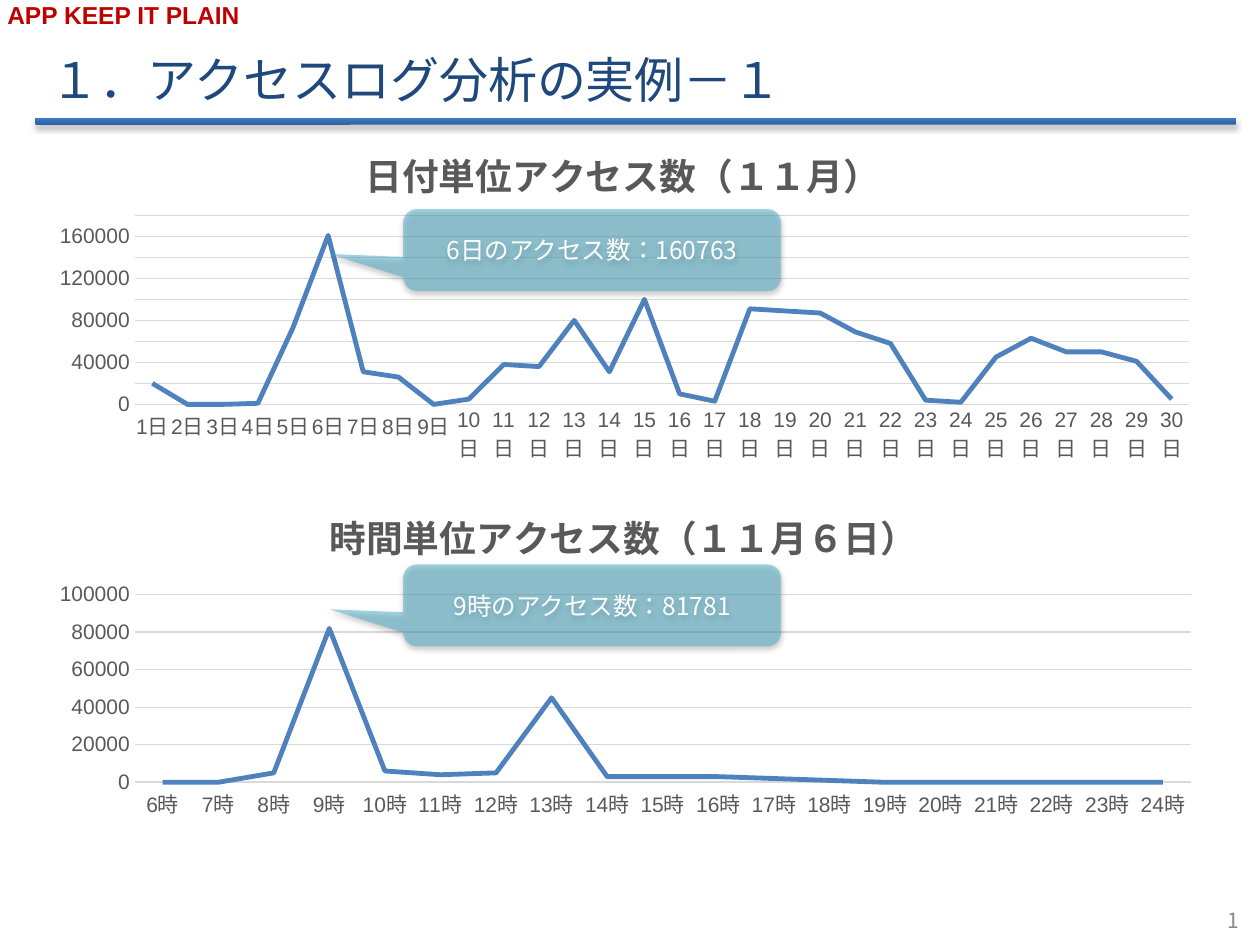
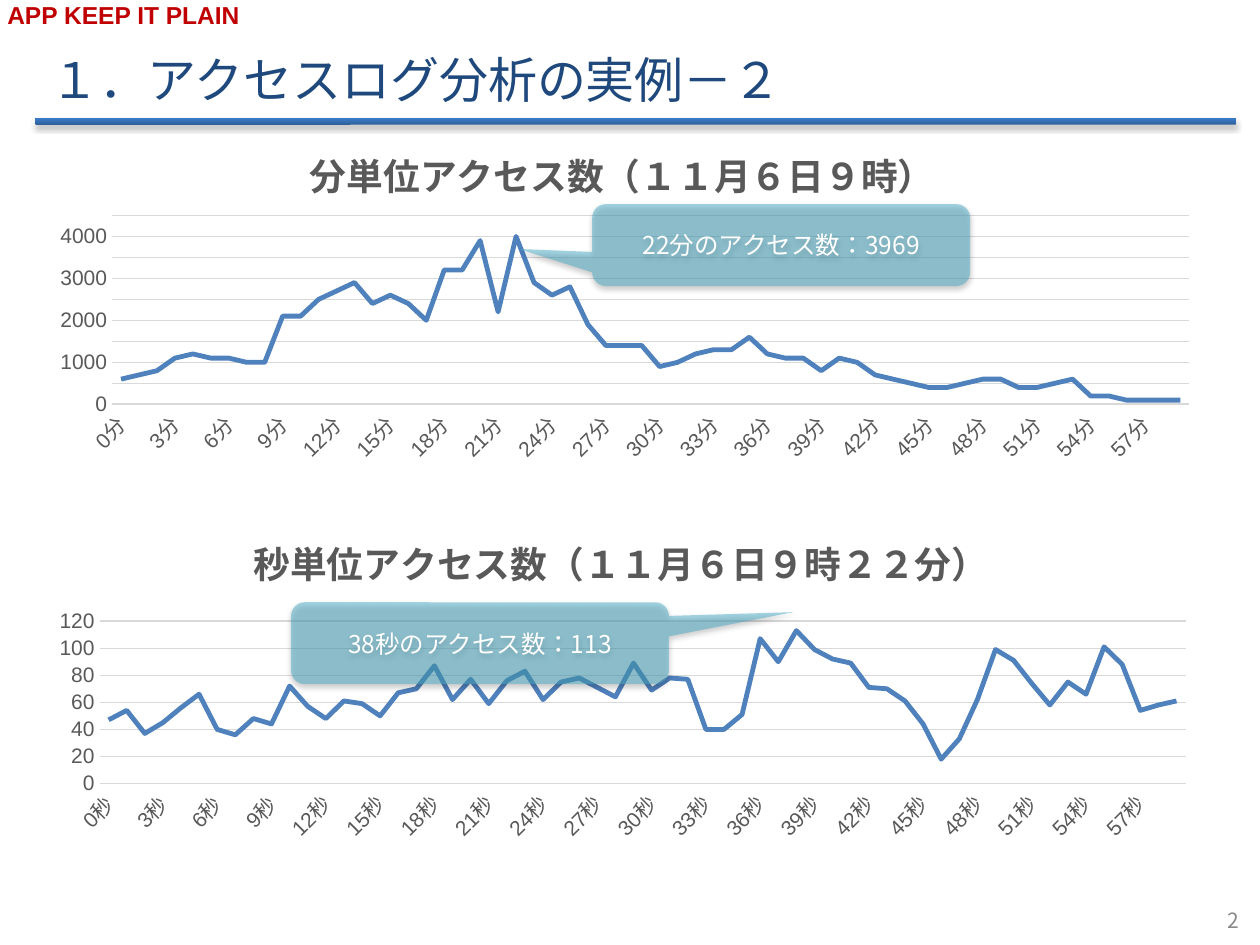
from lxml import etree
from pptx import Presentation
from pptx import util as u
from pptx.chart.data import CategoryChartData
from pptx.dml.color import RGBColor
from pptx.enum import chart as ch, lang, shapes, text
from pptx.oxml import parse_xml
from pptx.oxml.ns import nsdecls, qn

NAVY = RGBColor(0x1F, 0x49, 0x7D)
RED = RGBColor(0xC0, 0x00, 0x00)
GRAY = RGBColor(0x89, 0x89, 0x89)
AXIS_TEXT = RGBColor(0x59, 0x59, 0x59)
GRID = RGBColor(0xD9, 0xD9, 0xD9)
SERIES = RGBColor(0x4F, 0x81, 0xBD)
CALLOUT = RGBColor(0x4B, 0xAC, 0xC6)
WHITE = RGBColor(0xFF, 0xFF, 0xFF)
BAR_STOPS = (RGBColor(0x2F, 0x5F, 0x99), RGBColor(0x3A, 0x7C, 0xCB))
LATIN, JAPANESE = "Arial", "Noto Sans CJK JP"

WIDTH, HEIGHT = 10, 7.5
CALLOUT_SIZE = (3, 0.65)
POINT_LEFT, POINT_RIGHT = (-0.694, 0.048, 0.167), (0.829, -0.379, 0.167)
TITLE_SIZE = 21
TITLE_SHIFT = 0.07
TAGLINE = "APP KEEP IT PLAIN"

TAG = dict(size=u.Pt(14), bold=True, color=RED, name=LATIN)
HEADING = dict(size=u.Pt(28), color=NAVY, name=JAPANESE)
PAGE_NUMBER = dict(size=u.Pt(12), color=GRAY, name=JAPANESE)
CALLOUT_TEXT = dict(size=u.Pt(14), color=WHITE, name=JAPANESE)
CHART_TITLE = dict(size=u.Pt(TITLE_SIZE), bold=True, color=AXIS_TEXT, name=JAPANESE)
AXIS_FONT = dict(size=u.Pt(12), color=AXIS_TEXT, name=LATIN)

PAGES = [
    ("１．アクセスログ分析の実例－１", [
        dict(title="日付単位アクセス数（１１月）", unit="日", first=1, top=180000, step=20000, tilt=0,
             frame=(0.29, 1.04, 9.34, 2.69), plot=(1.07, 1.71, 8.37, 1.5), title_drop=0.05,
             note="6日のアクセス数：160763", note_at=(3.2, 1.66), pointer=POINT_LEFT,
             values=[20000, 0, 0, 1000, 73000, 161000, 31000, 26000, 0, 5000,
                     38000, 36000, 80000, 31000, 100000, 10000, 3000, 91000, 89000, 87000,
                     69000, 58000, 4000, 2000, 45000, 63000, 50000, 50000, 41000, 5000]),
        dict(title="時間単位アクセス数（１１月６日）", unit="時", first=6, top=100000, step=20000, tilt=0,
             frame=(0.29, 3.88, 9.35, 2.67), plot=(1.07, 4.72, 8.38, 1.49), title_drop=0.08,
             note="9時のアクセス数：81781", note_at=(3.2, 4.48), pointer=POINT_LEFT,
             values=[0, 0, 5000, 82000, 6000, 4000, 5000, 45000, 3000, 3000,
                     3000, 2000, 1000, 0, 0, 0, 0, 0, 0]),
    ]),
    ("１．アクセスログ分析の実例－２", [
        dict(title="分単位アクセス数（１１月６日９時）", unit="分", first=0, top=4500, step=500, tilt=-45,
             frame=(0.29, 1.04, 9.33, 2.72), plot=(0.89, 1.71, 8.55, 1.5), title_drop=0.05,
             note="22分のアクセス数：3969", note_at=(4.7, 1.62), pointer=POINT_LEFT,
             values=[600, 700, 800, 1100, 1200, 1100, 1100, 1000, 1000, 2100,
                     2100, 2500, 2700, 2900, 2400, 2600, 2400, 2000, 3200, 3200,
                     3900, 2200, 4000, 2900, 2600, 2800, 1900, 1400, 1400, 1400,
                     900, 1000, 1200, 1300, 1300, 1600, 1200, 1100, 1100, 800,
                     1100, 1000, 700, 600, 500, 400, 400, 500, 600, 600,
                     400, 400, 500, 600, 200, 200, 100, 100, 100, 100]),
        dict(title="秒単位アクセス数（１１月６日９時２２分）", unit="秒", first=0, top=120, step=20, tilt=-45,
             frame=(0.29, 4.09, 9.31, 2.68), plot=(0.79, 4.93, 8.62, 1.29), title_drop=0.08,
             note="38秒のアクセス数：113", note_at=(2.31, 4.78), pointer=POINT_RIGHT,
             values=[47, 54, 37, 45, 56, 66, 40, 36, 48, 44,
                     72, 57, 48, 61, 59, 50, 67, 70, 87, 62,
                     77, 59, 76, 83, 62, 75, 78, 71, 64, 89,
                     69, 78, 77, 40, 40, 51, 107, 90, 113, 99,
                     92, 89, 71, 70, 61, 44, 18, 33, 62, 99,
                     91, 74, 58, 75, 66, 101, 88, 54, 58, 61]),
    ]),
]


def inches(*lengths):
    return [u.Inches(length) for length in lengths]


def apply_font(font, style):
    for key, value in style.items():
        if key == "color":
            font.color.rgb = value
        else:
            setattr(font, key, value)


def add_span(para, words, style):
    span = para.add_run()
    span.text = words
    apply_font(span.font, style)
    span.font.language_id = lang.MSO_LANGUAGE_ID.JAPANESE
    etree.SubElement(span.font._element, qn("a:ea")).set("typeface", span.font.name)
    return span


def write(shape, words, style, align=text.PP_ALIGN.LEFT, anchor=text.MSO_ANCHOR.MIDDLE):
    frame = shape.text_frame
    frame.word_wrap = True
    frame.vertical_anchor = anchor
    para = frame.paragraphs[0]
    para.alignment = align
    return para, add_span(para, words, style)


def add_shadow(shape, opacity, blur, distance):
    shape.shadow.inherit = False
    effects = shape._element.spPr.find(qn("a:effectLst"))
    effects.append(parse_xml(
        f'<a:outerShdw {nsdecls("a")} blurRad="{u.Pt(blur)}" dist="{u.Pt(distance)}" dir="5400000" '
        f'rotWithShape="0"><a:srgbClr val="000000"><a:alpha val="{opacity * 1000}"/>'
        '</a:srgbClr></a:outerShdw>'))


def add_frame(page, heading, number):
    bar = page.shapes.add_shape(shapes.MSO_SHAPE.ROUNDED_RECTANGLE, *inches(0.28, 0.94, 9.53, 0.05))
    bar.fill.gradient()
    bar.fill.gradient_angle = 90
    for stop, color in zip(bar.fill.gradient_stops, BAR_STOPS):
        stop.color.rgb = color
    bar.line.fill.background()
    add_shadow(bar, 35, 3.1, 1.8)

    tag = page.shapes.add_textbox(*inches(-0.04, -0.05, 3.54, 0.34))
    write(tag, TAGLINE, TAG, anchor=text.MSO_ANCHOR.TOP)

    title = page.shapes.add_textbox(*inches(0.3, 0.3, 9, 0.61))
    para, _ = write(title, heading, HEADING)
    para.line_spacing = 1.1

    footer = page.shapes.add_textbox(*inches(7.6, 7.1, 2.33, 0.4))
    para, span = write(footer, str(number), PAGE_NUMBER, text.PP_ALIGN.RIGHT)
    field = etree.SubElement(para._p, qn("a:fld"))
    field.set("id", "{B6F15528-21DE-4FAA-801E-634DDDAF4B2B}")
    field.set("type", "slidenum")
    field.extend(list(span._r))
    para._p.remove(span._r)


def place(parent, index, target="", **shares):
    for old in parent.findall(qn("c:layout")):
        parent.remove(old)
    modes = "".join(f'<c:{axis}Mode val="edge"/>' for axis in "xy")
    sizes = "".join(f'<c:{key} val="{share:.4f}"/>' for key, share in shares.items())
    parent.insert(index, parse_xml(
        f'<c:layout {nsdecls("c")}><c:manualLayout>{target}{modes}{sizes}</c:manualLayout></c:layout>'))


def add_line_chart(page, graph):
    left, top, width, height = graph["frame"]
    data = CategoryChartData()
    data.categories = [f"{graph['first'] + i}{graph['unit']}" for i in range(len(graph["values"]))]
    data.add_series("Series 1", graph["values"])
    chart = page.shapes.add_chart(ch.XL_CHART_TYPE.LINE, *inches(*graph["frame"]), data).chart
    chart.has_legend = False
    apply_font(chart.font, dict(size=u.Pt(10), name=LATIN))

    chart.has_title = True
    add_span(chart.chart_title.text_frame.paragraphs[0], graph["title"], CHART_TITLE)
    title_width = len(graph["title"]) * TITLE_SIZE / 72
    place(chart.chart_title._element, 1,
          x=0.5 - (title_width / 2 + TITLE_SHIFT) / width, y=graph["title_drop"] / height)

    plot_left, plot_top, plot_width, plot_height = graph["plot"]
    place(chart._chartSpace.chart.plotArea, 0, '<c:layoutTarget val="inner"/>',
          x=(plot_left - left) / width, y=(plot_top - top) / height,
          w=plot_width / width, h=plot_height / height)

    times, counts = chart.category_axis, chart.value_axis
    for axis in (times, counts):
        axis.major_tick_mark = axis.minor_tick_mark = ch.XL_TICK_MARK.NONE
        apply_font(axis.tick_labels.font, AXIS_FONT)
    times.format.line.color.rgb = GRID
    times.format.line.width = u.Pt(1)
    if graph["tilt"]:
        times._element.find(f"{qn('c:txPr')}/{qn('a:bodyPr')}").set("rot", str(graph["tilt"] * 60000))
    counts.minimum_scale, counts.maximum_scale = 0, graph["top"]
    counts.major_unit = graph["step"]
    counts.format.line.fill.background()
    counts.major_gridlines.format.line.color.rgb = GRID
    counts.major_gridlines.format.line.width = u.Pt(0.75)

    chart.plots[0].vary_by_categories = False
    series = chart.plots[0].series[0]
    series.smooth = False
    series.marker.style = ch.XL_MARKER_STYLE.NONE
    series.format.line.color.rgb = SERIES
    series.format.line.width = u.Pt(2.75)


def add_callout(page, graph):
    box = page.shapes.add_shape(shapes.MSO_SHAPE.ROUNDED_RECTANGULAR_CALLOUT,
                                *inches(*graph["note_at"], *CALLOUT_SIZE))
    for i, amount in enumerate(graph["pointer"]):
        box.adjustments[i] = amount
    box.fill.solid()
    box.fill.fore_color.rgb = CALLOUT
    color = box._element.spPr.find(f"{qn('a:solidFill')}/{qn('a:srgbClr')}")
    etree.SubElement(color, qn("a:alpha")).set("val", "50000")
    box.line.fill.background()
    add_shadow(box, 38, 3.1, 1.6)
    write(box, graph["note"], CALLOUT_TEXT, text.PP_ALIGN.CENTER)


def main():
    deck = Presentation()
    deck.slide_width, deck.slide_height = inches(WIDTH, HEIGHT)
    for number, (heading, graphs) in enumerate(PAGES, 1):
        page = deck.slides.add_slide(deck.slide_layouts[6])
        add_frame(page, heading, number)
        for graph in graphs:
            add_line_chart(page, graph)
            add_callout(page, graph)
    deck.save("out.pptx")


if __name__ == "__main__":
    main()
